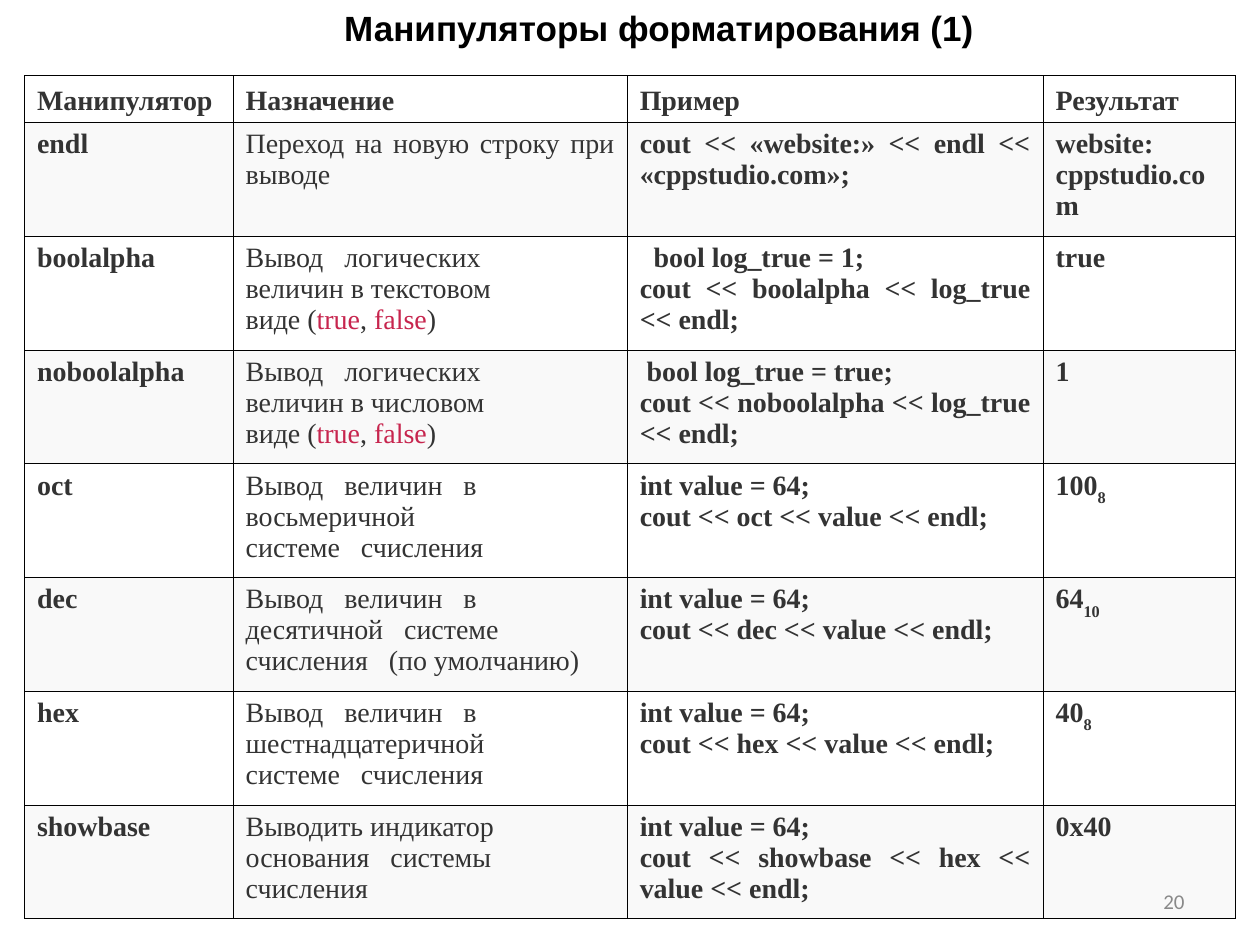
from lxml.etree import SubElement
from pptx import Presentation
from pptx.dml.color import RGBColor
from pptx.enum.text import MSO_ANCHOR as Anchor, MSO_AUTO_SIZE as AutoSize, PP_ALIGN as Align
from pptx.oxml.ns import qn
from pptx.util import Pt

BLACK = RGBColor(0x00, 0x00, 0x00)
WHITE = RGBColor(0xFF, 0xFF, 0xFF)
STRIPE = RGBColor(0xF9, 0xF9, 0xF9)
TEXT = RGBColor(0x33, 0x33, 0x33)
KEYWORD = RGBColor(0xC7, 0x25, 0x4E)
NUMBER = RGBColor(0x89, 0x89, 0x89)

PURPOSE, RESULT = 1, 3
COLUMN_WIDTHS = [119.2, 225.2, 237.7, 109.6]
HEADER_HEIGHT, ROW_HEIGHT = 26.8, 65

# Each cell is a list of paragraphs; text between bars is a keyword or a subscript
ROWS = [
    [["Манипулятор"], ["Назначение"], ["Пример"], ["Результат"]],
    [["endl"], ["Переход на новую строку при выводе"],
     ["cout << «website:» << endl << «cppstudio.com»;"],
     ["website:\vcppstudio.com"]],
    [["boolalpha"],
     ["Вывод   логических", "величин в текстовом", "виде (|true|, |false|)"],
     ["  bool log_true = 1;", "cout << boolalpha << log_true << endl;"],
     ["true"]],
    [["noboolalpha"],
     ["Вывод   логических", "величин в числовом", "виде (|true|, |false|)"],
     [" bool log_true = true;", "cout << noboolalpha << log_true << endl;"],
     ["1"]],
    [["oct"],
     ["Вывод   величин   в", "восьмеричной", "системе   счисления"],
     ["int value = 64;", "cout << oct << value << endl;"],
     ["100|8|"]],
    [["dec"],
     ["Вывод   величин   в", "десятичной   системе", "счисления   (по умолчанию)"],
     ["int value = 64;", "cout << dec << value << endl;"],
     ["64|10|"]],
    [["hex"],
     ["Вывод   величин   в", "шестнадцатеричной", "системе   счисления"],
     ["int value = 64;", "cout << hex << value << endl;"],
     ["40|8|"]],
    [["showbase "],
     ["Выводить индикатор", "основания   системы", "счисления"],
     ["int value = 64;", "cout << showbase << hex << value << endl;"],
     ["0x40"]],
]


def style_font(font, name, size, color, bold=False):
    font.name, font.size, font.bold = name, Pt(size), bold
    font.color.rgb = color


def add_borders(cell):
    properties = cell._tc.get_or_add_tcPr()
    for position, side in enumerate(("a:lnL", "a:lnR", "a:lnT", "a:lnB")):
        line = SubElement(properties, qn(side), w=str(Pt(0.45)))
        fill = SubElement(line, qn("a:solidFill"))
        SubElement(fill, qn("a:srgbClr"), val=str(BLACK))
        properties.insert(position, line)


deck = Presentation()
deck.slide_width, deck.slide_height = Pt(720), Pt(540)
page = deck.slides.add_slide(deck.slide_layouts[5])

# Title
title = page.shapes.title
title.left, title.top, title.width, title.height = Pt(189.5), Pt(0), Pt(380), Pt(31.5)
frame = title.text_frame
frame.text = "Манипуляторы форматирования (1)"
frame.word_wrap = False
frame.auto_size = AutoSize.NONE
frame.vertical_anchor = Anchor.MIDDLE
para = frame.paragraphs[0]
para.alignment = Align.LEFT
style_font(para.runs[0].font, "Arial", 20, BLACK, bold=True)

# Table of manipulators
table = page.shapes.add_table(
    len(ROWS), len(COLUMN_WIDTHS), Pt(14), Pt(43.2), Pt(sum(COLUMN_WIDTHS)),
    Pt(HEADER_HEIGHT + ROW_HEIGHT * (len(ROWS) - 1))).table
table.first_row = False
table.horz_banding = False
for column, width in zip(table.columns, COLUMN_WIDTHS):
    column.width = Pt(width)

for r, row in enumerate(ROWS):
    is_header = r == 0
    table.rows[r].height = Pt(HEADER_HEIGHT if is_header else ROW_HEIGHT)
    for c, lines in enumerate(row):
        cell = table.cell(r, c)
        cell.fill.solid()
        cell.fill.fore_color.rgb = STRIPE if r % 2 else WHITE
        cell.vertical_anchor = Anchor.BOTTOM if is_header else Anchor.TOP
        add_borders(cell)
        for n, line in enumerate(lines):
            para = cell.text_frame.paragraphs[0] if n == 0 else cell.text_frame.add_paragraph()
            para.alignment = Align.LEFT if is_header else Align.JUSTIFY
            if "|" in line:
                for k, part in enumerate(filter(None, line.split("|"))):
                    para.add_run().text = part
            else:
                para.text = line
            for k, span in enumerate(para.runs):
                marked = "|" in line and k % 2 == 1
                color = KEYWORD if marked and c == PURPOSE else TEXT
                style_font(span.font, "Times New Roman", 16, color,
                           bold=is_header or c != PURPOSE)
                if marked and c == RESULT:
                    span._r.get_or_add_rPr().set("baseline", "-30000")

# Page number
box = page.shapes.add_textbox(Pt(516), Pt(500.5), Pt(168), Pt(28.75))
frame = box.text_frame
frame.text = "20"
frame.word_wrap = True
frame.vertical_anchor = Anchor.MIDDLE
para = frame.paragraphs[0]
para.alignment = Align.RIGHT
style_font(para.runs[0].font, "Calibri", 12, NUMBER)

deck.save("out.pptx")
